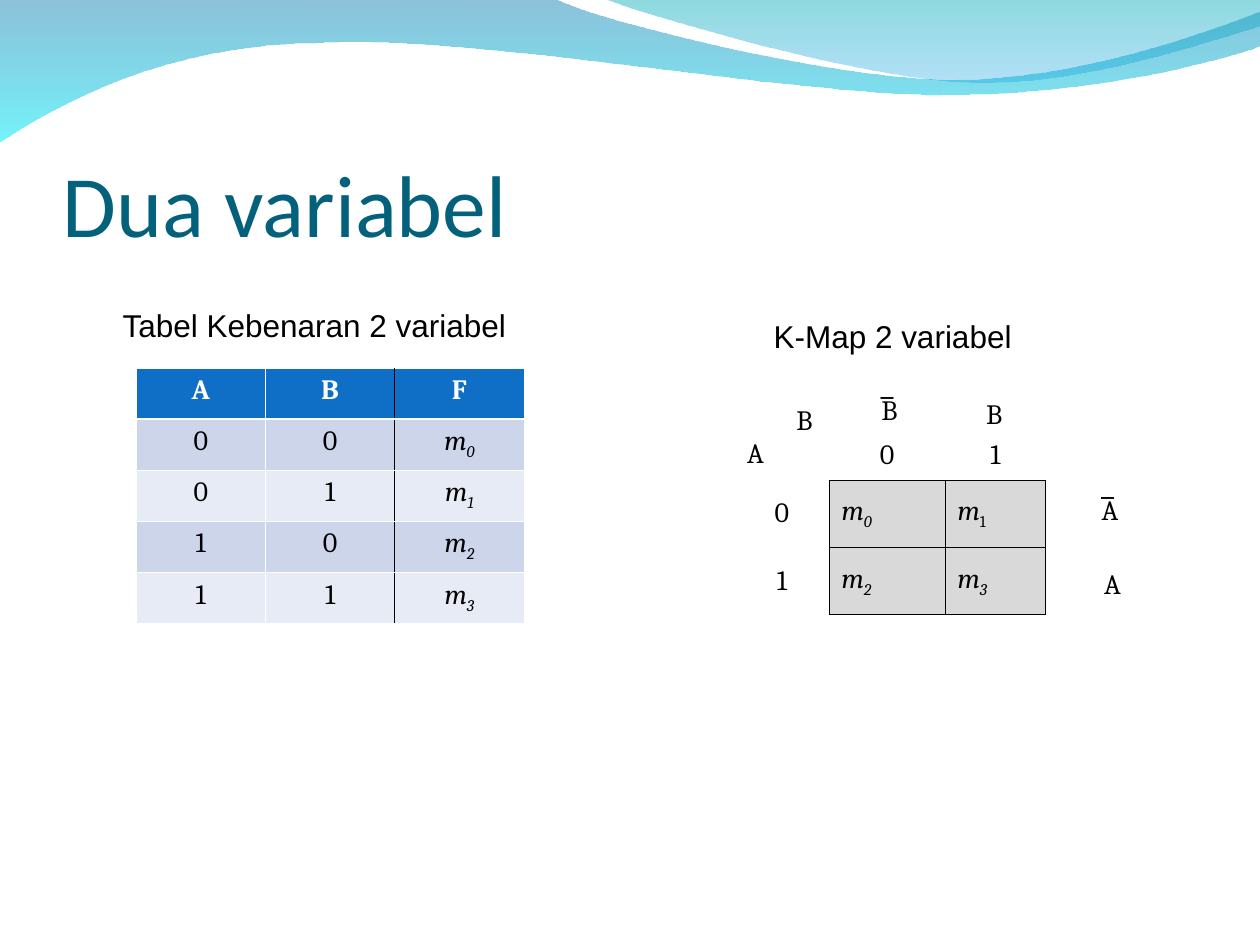
import pptx
import pptx.util
import pptx.dml.color
import pptx.enum.text
import pptx.oxml.ns
from lxml import etree

Inches = pptx.util.Inches
Pt = pptx.util.Pt
RGB = pptx.dml.color.RGBColor
ALIGN = pptx.enum.text.PP_ALIGN
ANCHOR = pptx.enum.text.MSO_ANCHOR
qn = pptx.oxml.ns.qn

BLACK, WHITE = RGB(0, 0, 0), RGB(255, 255, 255)
TITLE_TEAL, HEADER_BLUE = RGB(0x04, 0x61, 0x7B), RGB(0x0F, 0x6F, 0xC6)
BANDS = RGB(0xCC, 0xD5, 0xEA), RGB(0xE7, 0xEB, 0xF5)
MAP_GREY = RGB(0xD9, 0xD9, 0xD9)

# Content: a pair is a minterm with its subscript
TRUTH_ROWS = [
    ["A", "B", "F"],
    ["0", "0", ("m", "0")],
    ["0", "1", ("m", "1")],
    ["1", "0", ("m", "2")],
    ["1", "1", ("m", "3")],
]
MAP_ROWS = [
    ["B\nA", "0", "1"],
    ["0", ("m", "0"), ("m", "1")],
    ["1", ("m", "2"), ("m", "3")],
]
UPRIGHT_SUBSCRIPT = (1, 2)
CAPTIONS = [("Tabel Kebenaran 2 variabel", 0.83, 2.33),
            ("K-Map 2 variabel", 5.42, 2.42)]
PLAIN_LABELS = [("B", 7.64, 3.07), ("A", 8.58, 4.42)]
NEGATED_LABELS = [("B", 6.75, 2.82), ("A", 8.5, 3.61)]

# Waves: start point, then line ends (2 numbers) and Bezier curves (6 numbers);
# gradient stops are colour and opacity in percent
WAVES = [
    ([(0, -0.01), (4.4, -0.01),
      (4.76, 0.17, 6.64, 0.63, 7.58, 0.63), (8.53, 0.63, 9.58, 0.26, 10, 0.09),
      (10.01, 0.36),
      (9.83, 0.44, 8.7, 0.76, 7.46, 0.75), (6.22, 0.75, 3.82, 0.28, 2.57, 0.34),
      (1.29, 0.35, 0.46, 0.83, -0.01, 1.13)],
     [(RGB(0x00, 0x79, 0xAF), 45), (RGB(0x00, 0xEB, 0xF8), 55)]),
    ([(4.79, -0.01),
      (5.09, 0.11, 6.82, 0.62, 7.69, 0.65), (8.56, 0.69, 9.61, 0.32, 10, 0.21),
      (10, 0)],
     [(RGB(0x00, 0xAD, 0xB6), 45), (RGB(0x00, 0x9B, 0xE5), 30)]),
]


def write(frame, text, size=16, font="Cambria", color=BLACK, bold=False,
          align=ALIGN.CENTER, upright_subscript=False, first_indent=0):
    is_minterm = isinstance(text, tuple)
    lines = [text] if is_minterm else [[line] for line in text.split("\n")]
    for number, pieces in enumerate(lines):
        paragraph = frame.add_paragraph() if number else frame.paragraphs[0]
        paragraph.alignment = align
        if first_indent and number == 0:
            paragraph._p.get_or_add_pPr().set("marL", str(Inches(first_indent)))
        for position, piece in enumerate(pieces):
            run = paragraph.add_run()
            run.text = piece
            run.font.size, run.font.name = Pt(size), font
            run.font.bold = bold
            run.font.italic = is_minterm and not (position and upright_subscript)
            run.font.color.rgb = color
            if position:
                run._r.get_or_add_rPr().set("baseline", "-25000")


def add_label(shapes, text, left, top, width, height, **text_format):
    label = shapes.add_textbox(*map(Inches, (left, top, width, height)))
    label.text_frame.word_wrap = False
    label.text_frame.vertical_anchor = ANCHOR.MIDDLE
    write(label.text_frame, text, **text_format)
    return label


def bend_curves(wave, outline):
    """Join the three line ends of each curve into one Bezier segment."""
    lines = list(wave._element.iter(qn("a:lnTo")))
    for part in outline[1:]:
        ends, lines = lines[:len(part) // 2], lines[len(part) // 2:]
        if len(ends) == 3:
            curve = etree.Element(qn("a:cubicBezTo"))
            ends[0].addprevious(curve)
            for end in ends:
                curve.append(end[0])
                end.getparent().remove(end)


def add_wave(shapes, outline, stops):
    points = [(Inches(x), Inches(y)) for part in outline
              for x, y in zip(part[::2], part[1::2])]
    builder = shapes.build_freeform(*points[0])
    builder.add_line_segments(points[1:], close=True)
    wave = builder.convert_to_shape()
    bend_curves(wave, outline)
    wave.shadow.inherit = False
    wave.line.fill.background()
    wave.fill.gradient()
    wave.fill.gradient_angle = 270
    for number, (stop, (color, _)) in enumerate(zip(wave.fill.gradient_stops, stops)):
        stop.color.rgb = color
        stop.position = number
    tints = list(wave._element.spPr.iter(qn("a:srgbClr")))
    for tint, (_, opacity) in zip(tints, stops):
        etree.SubElement(tint, qn("a:alpha")).set("val", str(opacity * 1000))


def set_borders(cell, **sides):
    """Each side (L, R, T, B) is a colour and a width, or None for no line."""
    properties = cell._tc.get_or_add_tcPr()
    for side in "LRTB":
        line = etree.SubElement(properties, qn("a:ln" + side))
        border = sides.get(side)
        if border is None:
            etree.SubElement(line, qn("a:noFill"))
            continue
        color, width = border
        line.set("w", str(Pt(width)))
        fill = etree.SubElement(line, qn("a:solidFill"))
        etree.SubElement(fill, qn("a:srgbClr")).set("val", str(color))


def add_grid(shapes, rows, left, top, widths, heights):
    frame = shapes.add_table(len(rows), len(widths), Inches(left), Inches(top),
                             Inches(sum(widths)), Inches(sum(heights)))
    table = frame.table
    table.first_row = table.horz_banding = False
    for column, width in zip(table.columns, widths):
        column.width = Inches(width)
    for row, height in zip(table.rows, heights):
        row.height = Inches(height)
    return table


def paint(cell, color):
    cell.fill.solid()
    cell.fill.fore_color.rgb = color


def add_truth_table(shapes):
    table = add_grid(shapes, TRUTH_ROWS, 1.08, 2.92, [3.08 / 3] * 3, [2.03 / 5] * 5)
    thin, thick, dark = (WHITE, 0.45), (WHITE, 1.47), (BLACK, 0.45)
    for r, row in enumerate(TRUTH_ROWS):
        for c, text in enumerate(row):
            cell = table.cell(r, c)
            set_borders(cell, L=dark if c == 2 else thin, R=dark if c == 1 else thin,
                        T=thick if r == 1 else thin, B=thick if r == 0 else thin)
            paint(cell, BANDS[(r - 1) % 2] if r else HEADER_BLUE)
            write(cell.text_frame, text, bold=r == 0, color=BLACK if r else WHITE)


def add_karnaugh_map(shapes):
    header = 0.64
    table = add_grid(shapes, MAP_ROWS, 5.83, 3.17, [0.75, 0.92, 0.8],
                     [header] + [(1.71 - header) / 2] * 2)
    dark = (BLACK, 0.45)
    for r, row in enumerate(MAP_ROWS):
        for c, text in enumerate(row):
            cell = table.cell(r, c)
            if r and c:
                set_borders(cell, L=dark, R=dark, T=dark, B=dark)
                paint(cell, MAP_GREY)
            else:
                set_borders(cell, R=dark if r else None, B=dark if c else None)
                cell.fill.background()
            is_corner = r == c == 0
            cell.vertical_anchor = (ANCHOR.TOP if is_corner else
                                    ANCHOR.MIDDLE if r else ANCHOR.BOTTOM)
            if c and not r:
                cell.margin_bottom = Inches(0.07)
            write(cell.text_frame, text, first_indent=0.39 if is_corner else 0,
                  align=ALIGN.LEFT if is_corner or (r and c) else ALIGN.CENTER,
                  upright_subscript=(r, c) == UPRIGHT_SUBSCRIPT)


def main():
    deck = pptx.Presentation()
    deck.slide_width, deck.slide_height = Inches(10), Inches(7.5)
    shapes = deck.slides.add_slide(deck.slide_layouts[6]).shapes

    # Background waves and title
    for outline, stops in WAVES:
        add_wave(shapes, outline, stops)
    title = add_label(shapes, "Dua variabel", 0.5, 0.77, 9, 1.25, size=50,
                      font="Calibri", color=TITLE_TEAL, align=ALIGN.LEFT).text_frame
    title.word_wrap = True
    title.vertical_anchor = ANCHOR.BOTTOM
    title.margin_left = title.margin_right = title.margin_bottom = 0

    # Tables and captions
    add_karnaugh_map(shapes)
    add_truth_table(shapes)
    for text, left, top in CAPTIONS:
        add_label(shapes, text, left, top, 3.33, 0.5, size=18, font="Arial")

    # Variable labels around the map; a negated one carries a bar above
    for text, left, top in PLAIN_LABELS:
        add_label(shapes, text, left, top, 0.5, 0.42)
    for text, left, top in NEGATED_LABELS:
        group = shapes.add_group_shape().shapes
        add_label(group, "_", left, top, 0.58, 0.42, size=20)
        add_label(group, text, left + 0.06, top + 0.22, 0.5, 0.42)

    deck.save("out.pptx")


if __name__ == "__main__":
    main()
